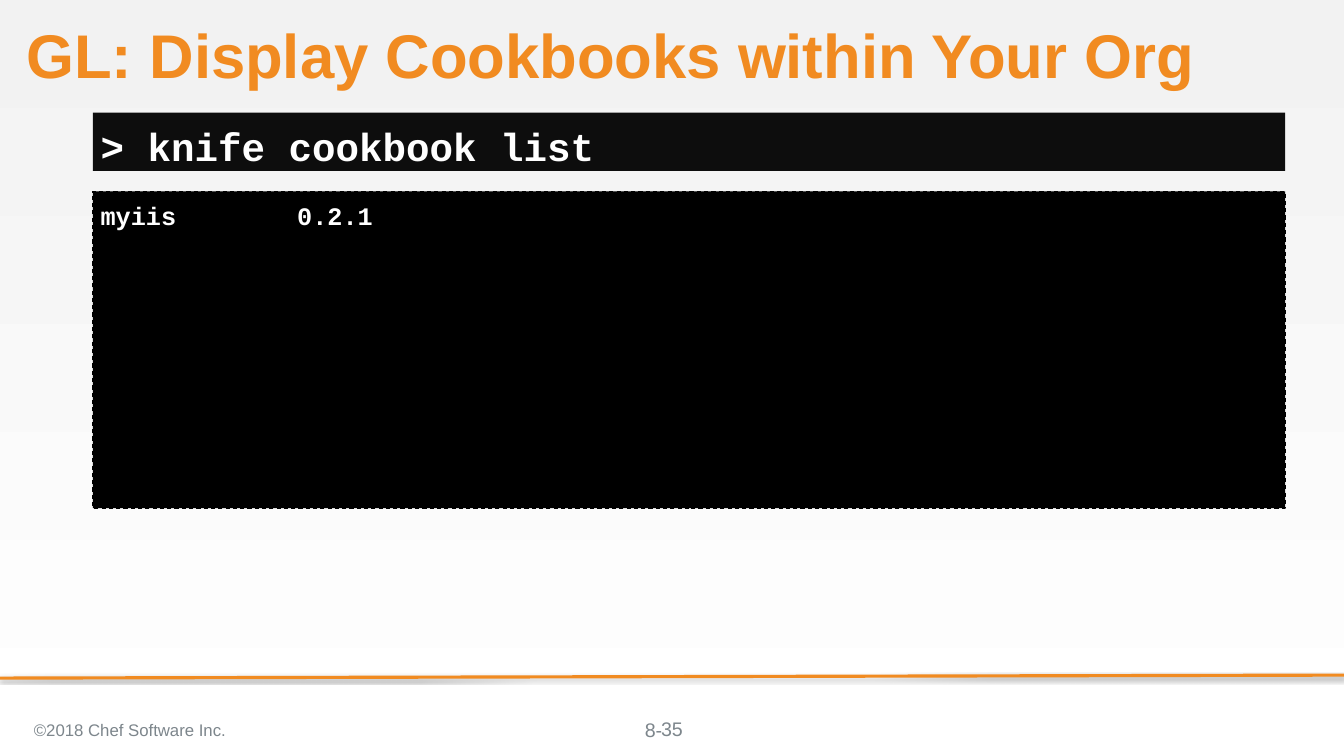
from lxml.etree import SubElement
from pptx import Presentation
from pptx.dml.color import RGBColor
from pptx.enum.dml import MSO_LINE
from pptx.enum.shapes import MSO_CONNECTOR
from pptx.enum.text import MSO_ANCHOR, MSO_AUTO_SIZE, PP_ALIGN
from pptx.oxml.ns import qn
from pptx.util import Inches, Pt

ORANGE = RGBColor(0xF1, 0x8B, 0x21)
WHITE = RGBColor(0xFF, 0xFF, 0xFF)
PALE = RGBColor(0xF2, 0xF2, 0xF2)
BLACK = RGBColor(0, 0, 0)
INK = RGBColor(0x0D, 0x0D, 0x0D)
GRAY = RGBColor(0x7D, 0x86, 0x8C)
CODE = "Courier New"
WIDE, HIGH = 17.78, 10


def place(shape, box):
    """Move a shape to a box of left, top, width and height in inches."""
    shape.left, shape.top, shape.width, shape.height = map(Inches, box)


def write(shape, text, size, color, font="Arial", bold=False, align=PP_ALIGN.LEFT,
          anchor=MSO_ANCHOR.TOP, inset=(0.1, 0.05, 0.1, 0.05), lead=1.0):
    """Fill a shape with one formatted, unbulleted paragraph."""
    frame = shape.text_frame
    frame.text = text
    frame.word_wrap = True
    frame.auto_size = MSO_AUTO_SIZE.NONE
    frame.vertical_anchor = anchor
    (frame.margin_left, frame.margin_top,
     frame.margin_right, frame.margin_bottom) = map(Inches, inset)
    para = frame.paragraphs[0]
    para.alignment = align
    para.line_spacing = lead
    para.space_before = Pt(0)
    props = para._p.get_or_add_pPr()
    props.set("marL", "0")
    props.set("indent", "0")
    SubElement(props, qn("a:buNone"))
    face = para.runs[0].font
    face.name, face.size, face.bold = font, Pt(size), bold
    face.color.rgb = color


def paint(slide):
    """Give the slide its pale vertical gradient."""
    fill = slide.background.fill
    fill.gradient()
    fill.gradient_angle = 270
    for stop, color in zip(fill.gradient_stops, (PALE, WHITE)):
        stop.color.rgb = color


def head(slide, box):
    """Set the title."""
    title = slide.shapes.title
    place(title, box)
    write(title, "GL: Display Cookbooks within Your Org", 58.7, ORANGE,
          bold=True, inset=(0, 0, 0, 0), lead=0.9)


def console(slide, box, gap=0.27, bar=0.77):
    """Stack the command bar above its output panel inside a box."""
    left, top, width, height = box
    prompt, output = slide.placeholders[1], slide.placeholders[2]
    place(prompt, (left, top, width, bar))
    prompt.fill.solid()
    prompt.fill.fore_color.rgb = INK
    write(prompt, "> knife cookbook list", 37.3, WHITE, CODE, True,
          anchor=MSO_ANCHOR.MIDDLE, inset=(0.1, 0.11, 0, 0))
    drop = bar + gap
    place(output, (left, top + drop, width, height - drop))
    output.fill.solid()
    output.fill.fore_color.rgb = BLACK
    output.line.color.rgb = BLACK
    output.line.width = Pt(1)
    output.line.dash_style = MSO_LINE.DASH
    write(output, "myiis        0.2.1", 24, WHITE, CODE, True,
          inset=(0.1, 0.12, 0.1, 0.05))


def rule(slide, box):
    """Draw the slightly tilted orange rule with its soft shadow."""
    left, top, width, rise = box
    line = slide.shapes.add_connector(
        MSO_CONNECTOR.STRAIGHT, Inches(left + width), Inches(top),
        Inches(left), Inches(top + rise))
    line.line.color.rgb = ORANGE
    line.line.width = Pt(3)
    effects = SubElement(line._element.spPr, qn("a:effectLst"))
    shade = SubElement(effects, qn("a:outerShdw"), blurRad=str(Pt(3.1)),
                       dist=str(Pt(1.8)), dir="5400000", rotWithShape="0")
    tint = SubElement(shade, qn("a:srgbClr"), val=str(BLACK))
    SubElement(tint, qn("a:alpha"), val="35000")


def foot(slide, box):
    """Write the copyright line and the page number."""
    left, top, width, height = box

    def label(text, x, y, w, h, size, **look):
        note = slide.shapes.add_textbox(*map(Inches, (left + x, top + y, w, h)))
        write(note, text, size, GRAY, **look)

    mid = MSO_ANCHOR.MIDDLE
    label("©2018 Chef Software Inc.", 0.35, 0, 6.21, height, 16, anchor=mid)
    label("8-", width / 2 - 0.4, 0.11, 0.8, 0.31, 18.7, inset=(0.04, 0, 0, 0))
    label("35", width / 2 - 2, 0, 4, 0.53, 18.7, align=PP_ALIGN.CENTER, anchor=mid)


def main():
    """Build and save the slide."""
    deck = Presentation()
    deck.slide_width, deck.slide_height = Inches(WIDE), Inches(HIGH)
    slide = deck.slides.add_slide(deck.slide_layouts[3])
    paint(slide)
    rule(slide, (0, 8.93, WIDE, 0.04))
    head(slide, (0.35, 0.33, 17.42, 0.91))
    console(slide, (1.23, 1.49, 15.77, 5.23))
    foot(slide, (0, 9.38, WIDE, 0.56))
    deck.save("out.pptx")


if __name__ == "__main__":
    main()
